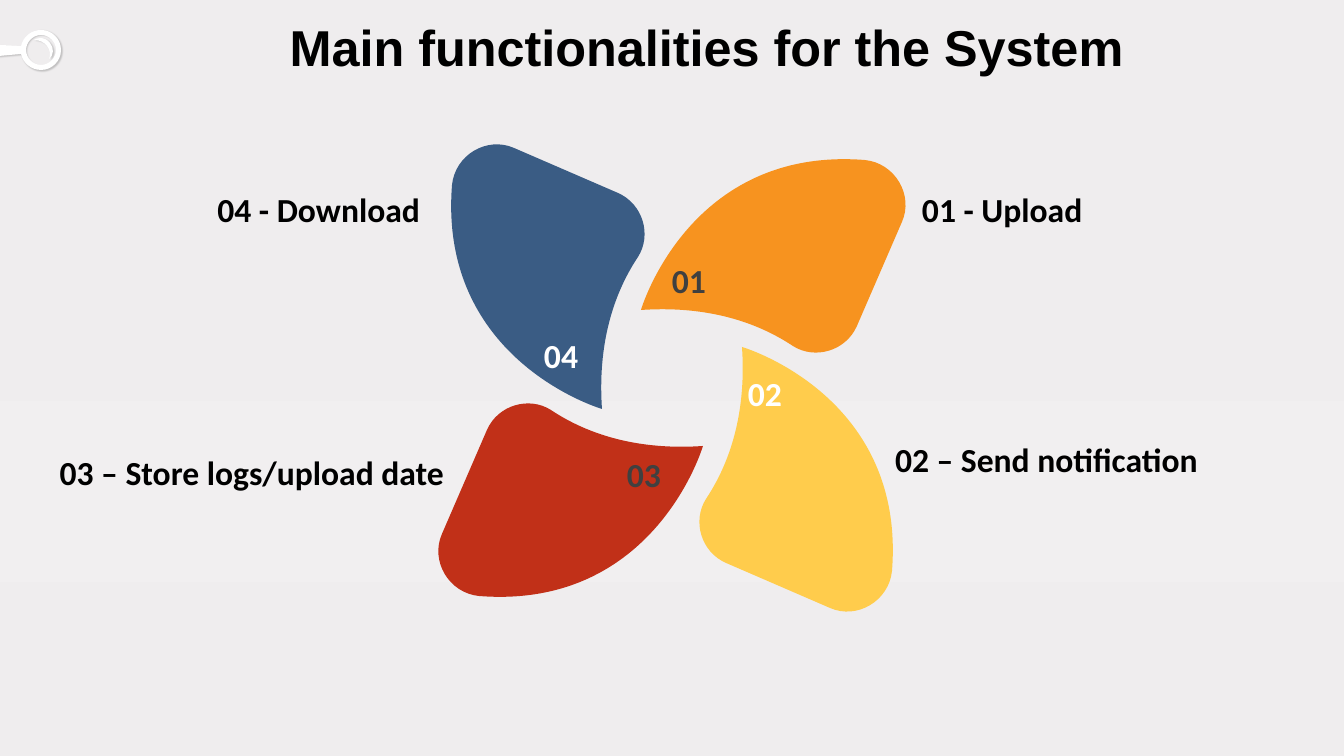
from lxml import etree
from pptx import Presentation
from pptx import util as u
from pptx.dml import color
from pptx.enum import text
from pptx.oxml import ns

PX = 914400 / 100.8
THEME = {
    "orange": "F7931F", "yellow": "FFCC4C", "red": "C13018", "blue": "3A5C84",
    "white": "FFFFFF", "black": "000000", "dark": "404040", "shadow": "808080",
    "background": [(0, "EFEDEE"), (53, "F1EFF0"), (77, "EFEDEE"), (100, "EFEBEC")],
    "title_font": "Arial", "label_font": "Calibri", "title_size": 36, "label_size": 24,
}
LEFT, CENTER, RIGHT = text.PP_ALIGN.LEFT, text.PP_ALIGN.CENTER, text.PP_ALIGN.RIGHT
TOP, MIDDLE, BOTTOM = text.MSO_ANCHOR.TOP, text.MSO_ANCHOR.MIDDLE, text.MSO_ANCHOR.BOTTOM
GROW, FIXED = text.MSO_AUTO_SIZE.SHAPE_TO_FIT_TEXT, text.MSO_AUTO_SIZE.NONE

presentation = Presentation()
presentation.slide_width = u.Emu(round(1344 * PX))
presentation.slide_height = u.Emu(round(756 * PX))
slide = presentation.slides.add_slide(presentation.slide_layouts[6])


def add_text(words, box, size=THEME["label_size"], font=THEME["label_font"], fill="black",
             align=CENTER, anchor=MIDDLE, fit=GROW, inset=0, spacing=None):
    shape = slide.shapes.add_textbox(*[u.Emu(round(length * PX)) for length in box])
    frame = shape.text_frame
    frame.word_wrap = True
    frame.auto_size = fit
    frame.vertical_anchor = anchor
    frame.margin_left = u.Emu(round(inset * PX))
    frame.margin_right = 0
    frame.margin_top = frame.margin_bottom = u.Emu(round(5 * PX))
    paragraph = frame.paragraphs[0]
    paragraph.alignment = align
    paragraph.line_spacing = spacing
    run = paragraph.add_run()
    run.text = words
    run.font.size = u.Pt(size)
    run.font.name = font
    run.font.bold = True
    run.font.color.rgb = color.RGBColor.from_string(THEME[fill])


def add_outline(contours, box, fill):
    left, top, width, height = box
    builder = slide.shapes.build_freeform(left * PX, top * PX)
    builder.add_line_segments([((left + width) * PX, top * PX),
                               ((left + width) * PX, (top + height) * PX),
                               (left * PX, (top + height) * PX)])
    shape = builder.convert_to_shape()
    outline = shape.element.find(".//" + ns.qn("a:path"))
    for command in list(outline):
        outline.remove(command)
    for contour in contours:
        for index, points in enumerate(contour):
            kind = "moveTo" if index == 0 else "lnTo" if len(points) == 1 else "cubicBezTo"
            command = etree.SubElement(outline, ns.qn("a:" + kind))
            for x, y in points:
                etree.SubElement(command, ns.qn("a:pt"), x=str(round((x - left) * PX)),
                                 y=str(round((y - top) * PX)))
        etree.SubElement(outline, ns.qn("a:close"))
    shape.shadow.inherit = False
    shape.fill.solid()
    shape.fill.fore_color.rgb = color.RGBColor.from_string(THEME[fill])
    shape.line.fill.background()
    return shape


fill = slide.background.fill
fill.gradient()
fill.gradient_angle = 270
stops = slide.element.find(".//" + ns.qn("a:gsLst"))
for stop in list(stops):
    stops.remove(stop)
for position, shade in THEME["background"]:
    stop = etree.SubElement(stops, ns.qn("a:gs"), pos=str(position * 1000))
    etree.SubElement(stop, ns.qn("a:srgbClr"), val=shade)

glint = [[(40, 38)],
         [(44, 38), (48, 40), (50, 43)],
         [(54, 48), (54, 55), (49, 59)],
         [(51, 55), (50, 50), (47, 46)],
         [(44, 42), (39, 40), (34, 40)],
         [(36, 39), (38, 38), (40, 38)]]
lens = [[(41, 35)],
        [(33, 35), (26, 42), (26, 50)],
        [(26, 58), (33, 65), (41, 65)],
        [(49, 65), (56, 58), (56, 50)],
        [(56, 42), (49, 35), (41, 35)]]
rim = [[(41, 30)],
       [(52, 30), (61, 39), (61, 50)],
       [(61, 61), (52, 70), (41, 70)],
       [(31, 70), (23, 63), (21, 54)],
       [(-1, 56)], [(-1, 45)], [(21, 46)],
       [(23, 37), (31, 30), (41, 30)]]
upright = [[[(y - 20, 80 - x) for x, y in points] for points in contour]
           for contour in (glint, lens, rim)]
magnifier = add_outline(upright, (10, 19, 40, 62), "white")
magnifier.rotation = 90
effects = magnifier.element.spPr.find(ns.qn("a:effectLst"))
shadow = etree.SubElement(effects, ns.qn("a:outerShdw"), blurRad="12700", dist="12700",
                          dir="2700000", rotWithShape="0")
shade = etree.SubElement(shadow, ns.qn("a:srgbClr"), val=THEME["shadow"])
etree.SubElement(shade, ns.qn("a:alpha"), val="40000")

add_text("Main functionalities for the System", (93, 18, 1218, 82), size=THEME["title_size"],
         font=THEME["title_font"], anchor=TOP, fit=FIXED, inset=10, spacing=0.9)

petal = [[(-68, 31)],
         [(-68, 31), (-232, -17), (-218, -193)],
         [(-215, -223), (-183, -242), (-156, -230)],
         [(-52, -185)],
         [(-27, -174), (-18, -143), (-32, -121)],
         [(-52, -91), (-73, -42), (-68, 31)]]
left, top, width, height = -218, -234, 193, 264
for fill_name, center_x, center_y in [("blue", 670, 378), ("orange", 672, 378),
                                      ("yellow", 674, 378), ("red", 672, 378)]:
    placed = [[(center_x + x, center_y + y) for x, y in points] for points in petal]
    add_outline([placed], (center_x + left, center_y + top, width, height), fill_name)
    petal = [[(-y, x) for x, y in points] for points in petal]
    left, top, width, height = -top - height, left, height, width

for number, x, y, ink in [("04", 523, 330, "white"), ("01", 651, 255, "dark"),
                          ("02", 727, 368, "white"), ("03", 606, 449, "dark")]:
    add_text(number, (x, y, 76, 50), fill=ink)

for label, x, y, width, align in [("02 – Send notification", 895, 434, 323, LEFT),
                                  ("03 – Store logs/upload date", 59, 447, 385, RIGHT),
                                  ("01 - Upload", 922, 184, 323, LEFT),
                                  ("04 - Download", 98, 184, 322, RIGHT)]:
    add_text(label, (x, y, width, 50), align=align, anchor=BOTTOM)

presentation.save("out.pptx")
